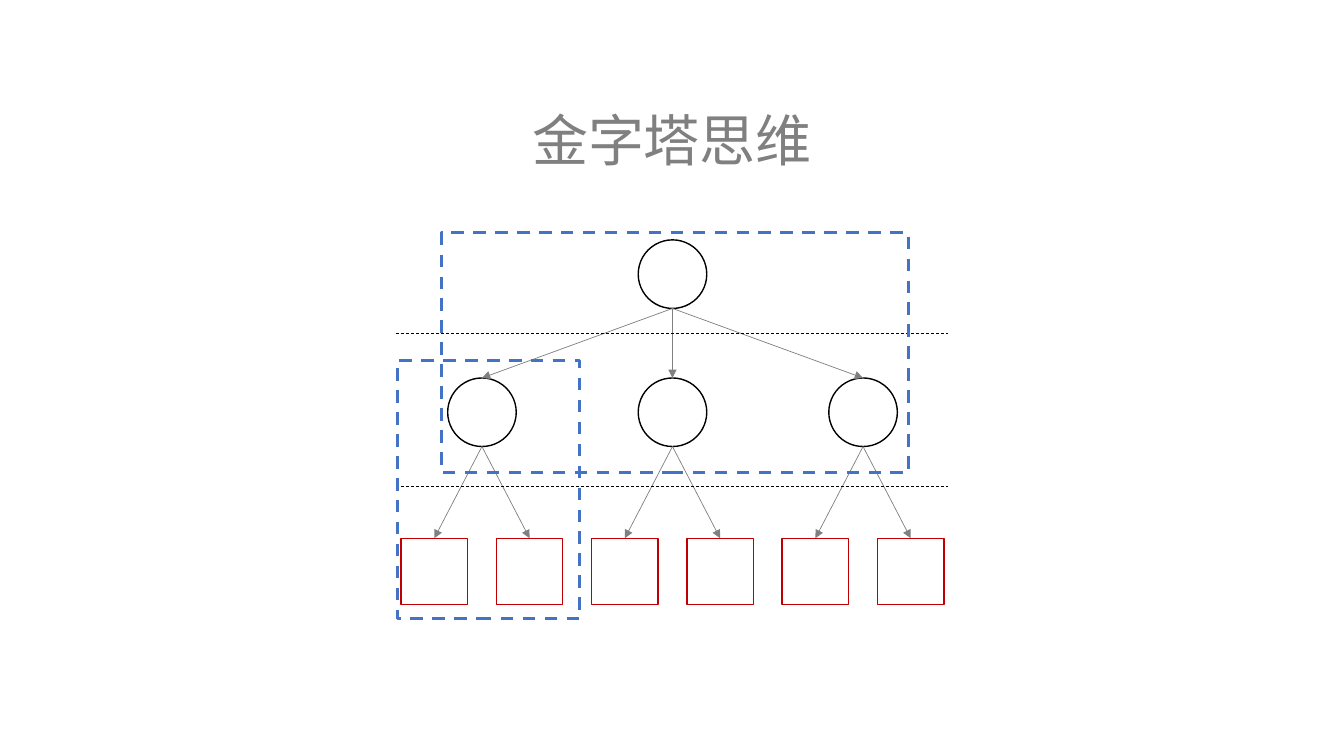
"""Build a slide that shows pyramid thinking as a three-level tree."""
import lxml.etree
import pptx
import pptx.dml.color
import pptx.enum.dml
import pptx.enum.shapes
import pptx.enum.text
import pptx.oxml.ns
import pptx.util

Inches = pptx.util.Inches
Shapes = pptx.enum.shapes.MSO_SHAPE
Dashes = pptx.enum.dml.MSO_LINE

GRAY = pptx.dml.color.RGBColor(0x80, 0x80, 0x80)
BLACK = pptx.dml.color.RGBColor(0x00, 0x00, 0x00)
RED = pptx.dml.color.RGBColor(0xC0, 0x00, 0x00)
BLUE = pptx.dml.color.RGBColor(0x44, 0x72, 0xC4)

FONT = "Noto Sans CJK SC"
CENTER = 6.67
BRANCH_GAP = 1.89
LEAF_GAP = 0.945
CIRCLE = 0.68
SQUARE = 0.66
ROOT_TOP, BRANCH_TOP, LEAF_TOP = 2.38, 3.75, 5.34


def add_child(parent, tag, **attributes):
    """Append a DrawingML element to parent."""
    return lxml.etree.SubElement(parent, pptx.oxml.ns.qn(tag), **attributes)


def add_title(slide, wording):
    """Format the title placeholder."""
    title = slide.shapes.title
    title.left, title.top = Inches(5.16), Inches(1)
    title.width, title.height = Inches(3.01), Inches(0.77)
    frame = title.text_frame
    frame.word_wrap = False
    frame.auto_size = pptx.enum.text.MSO_AUTO_SIZE.SHAPE_TO_FIT_TEXT
    run = frame.paragraphs[0].add_run()
    run.text = wording
    run.font.size = pptx.util.Pt(40)
    run.font.color.rgb = GRAY
    run.font.name = FONT
    add_child(run.font._element, "a:ea", typeface=FONT)


def add_outline(slide, kind, left, top, width, height, color, weight=1):
    """Draw an unfilled shape."""
    outline = slide.shapes.add_shape(
        kind, Inches(left), Inches(top), Inches(width), Inches(height))
    outline.shadow.inherit = False
    outline.fill.background()
    outline.line.color.rgb = color
    outline.line.width = pptx.util.Pt(weight)
    return outline


def add_node(slide, kind, middle, top, size, color):
    """Draw a tree node centred on middle."""
    return add_outline(slide, kind, middle - size / 2, top, size, size, color)


def add_frame(slide, left, top, width, height):
    """Draw a dashed frame around a group of nodes."""
    frame = add_outline(
        slide, Shapes.RECTANGLE, left, top, width, height, BLUE, 2.25)
    frame.line.dash_style = Dashes.DASH


def add_line(slide, start, end, color):
    """Draw a thin straight line."""
    line = slide.shapes.add_connector(
        pptx.enum.shapes.MSO_CONNECTOR.STRAIGHT,
        *(Inches(length) for length in (*start, *end)))
    line.line.color.rgb = color
    line.line.width = pptx.util.Pt(0.5)
    add_child(line._element.spPr, "a:effectLst")
    return line


def add_arrow(slide, parent, child):
    """Draw an arrow from the bottom of parent to the top of child."""
    start = (parent.left + parent.width / 2, parent.top + parent.height)
    end = (child.left + child.width / 2, child.top)
    arrow = add_line(
        slide, *([pptx.util.Length(n).inches for n in point]
                 for point in (start, end)), GRAY)
    arrow.end_connect(child, 0)
    add_child(arrow.line._get_or_add_ln(), "a:tailEnd", type="triangle")


def add_divider(slide, height):
    """Draw a dashed line between two levels."""
    divider = add_line(slide, (3.93, height), (9.4, height), BLACK)
    divider.line.dash_style = Dashes.DASH


def main():
    """Build and save the slide."""
    deck = pptx.Presentation()
    deck.slide_width, deck.slide_height = Inches(13.33), Inches(7.5)
    slide = deck.slides.add_slide(deck.slide_layouts[5])
    add_title(slide, "金字塔思维")

    root = add_node(slide, Shapes.OVAL, CENTER, ROOT_TOP, CIRCLE, BLACK)
    links = []
    for column in (-1, 0, 1):
        middle = CENTER + column * BRANCH_GAP
        branch = add_node(
            slide, Shapes.OVAL, middle, BRANCH_TOP, CIRCLE, BLACK)
        links.append((root, branch))
        for side in (-0.5, 0.5):
            leaf = add_node(slide, Shapes.RECTANGLE, middle + side * LEAF_GAP,
                            LEAF_TOP, SQUARE, RED)
            links.append((branch, leaf))
    for parent, child in links:
        add_arrow(slide, parent, child)

    for height in (3.31, 4.83):
        add_divider(slide, height)
    add_frame(slide, 4.38, 2.31, 4.63, 2.38)
    add_frame(slide, 3.94, 3.58, 1.81, 2.56)
    deck.save("out.pptx")


if __name__ == "__main__":
    main()
